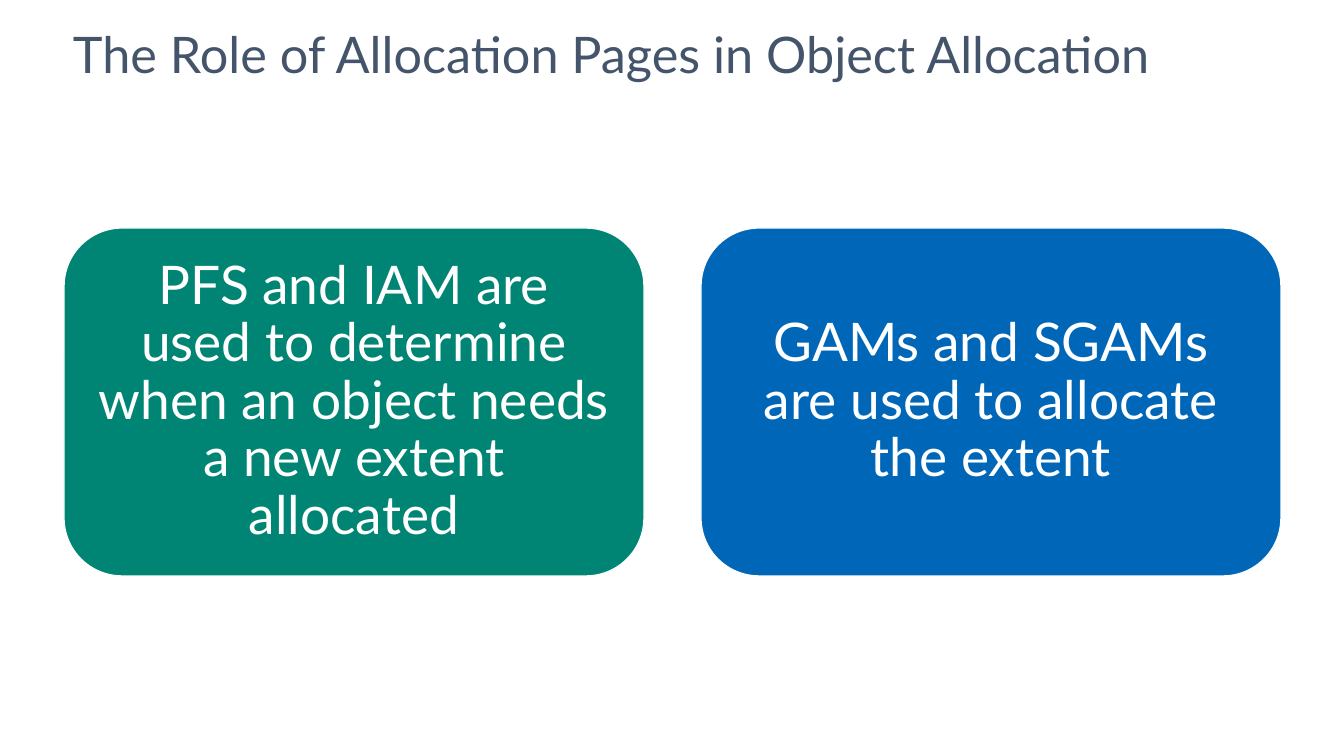
import pptx
import pptx.util
from pptx.dml.color import RGBColor
from pptx.enum.shapes import MSO_SHAPE
from pptx.enum.text import MSO_ANCHOR, PP_ALIGN

SLATE = RGBColor(0x44, 0x54, 0x6A)
GREEN = RGBColor(0x00, 0x85, 0x75)
BLUE = RGBColor(0x00, 0x67, 0xB8)
WHITE = RGBColor(0xFF, 0xFF, 0xFF)
FONT = "Lato"

HEADING = "The Role of Allocation Pages in Object Allocation"
ROLES = [
    ("PFS and IAM are used to determine when an object needs a new extent allocated", GREEN),
    ("GAMs and SGAMs are used to allocate the extent", BLUE),
]

SLIDE_WIDTH, SLIDE_HEIGHT = 1344, 756
HEADING_BOX = (73, 35, 1200, 50)
ROLE_LEFT, ROLE_TOP, ROLE_WIDTH, ROLE_HEIGHT = 64, 228, 580, 348
ROLE_GAP = 57
ROLE_INSET = 16


def px(length):
    return pptx.util.Emu(round(length * 914400 / 100.8))


def write(frame, text, size, color, spacing, align, inset):
    frame.word_wrap = True
    frame.margin_left = frame.margin_right = px(inset)
    frame.margin_top = frame.margin_bottom = px(inset)
    paragraph = frame.paragraphs[0]
    paragraph.alignment = align
    paragraph.line_spacing = spacing
    run = paragraph.add_run()
    run.text = text
    run.font.name = FONT
    run.font.size = pptx.util.Pt(size)
    run.font.color.rgb = color


def main():
    deck = pptx.Presentation()
    deck.slide_width, deck.slide_height = px(SLIDE_WIDTH), px(SLIDE_HEIGHT)
    slide = deck.slides.add_slide(deck.slide_layouts[6])

    heading = slide.shapes.add_textbox(*map(px, HEADING_BOX))
    write(heading.text_frame, HEADING, 36, SLATE, pptx.util.Pt(35), PP_ALIGN.LEFT, 0)

    for index, (text, fill) in enumerate(ROLES):
        left = ROLE_LEFT + index * (ROLE_WIDTH + ROLE_GAP)
        role = slide.shapes.add_shape(
            MSO_SHAPE.ROUNDED_RECTANGLE,
            px(left), px(ROLE_TOP), px(ROLE_WIDTH), px(ROLE_HEIGHT))
        role.shadow.inherit = False
        role.fill.solid()
        role.fill.fore_color.rgb = fill
        role.line.color.rgb = WHITE
        role.line.width = pptx.util.Pt(1)
        role.text_frame.vertical_anchor = MSO_ANCHOR.MIDDLE
        write(role.text_frame, text, 38, WHITE, 0.9, PP_ALIGN.CENTER, ROLE_INSET)

    deck.save("out.pptx")


if __name__ == "__main__":
    main()
